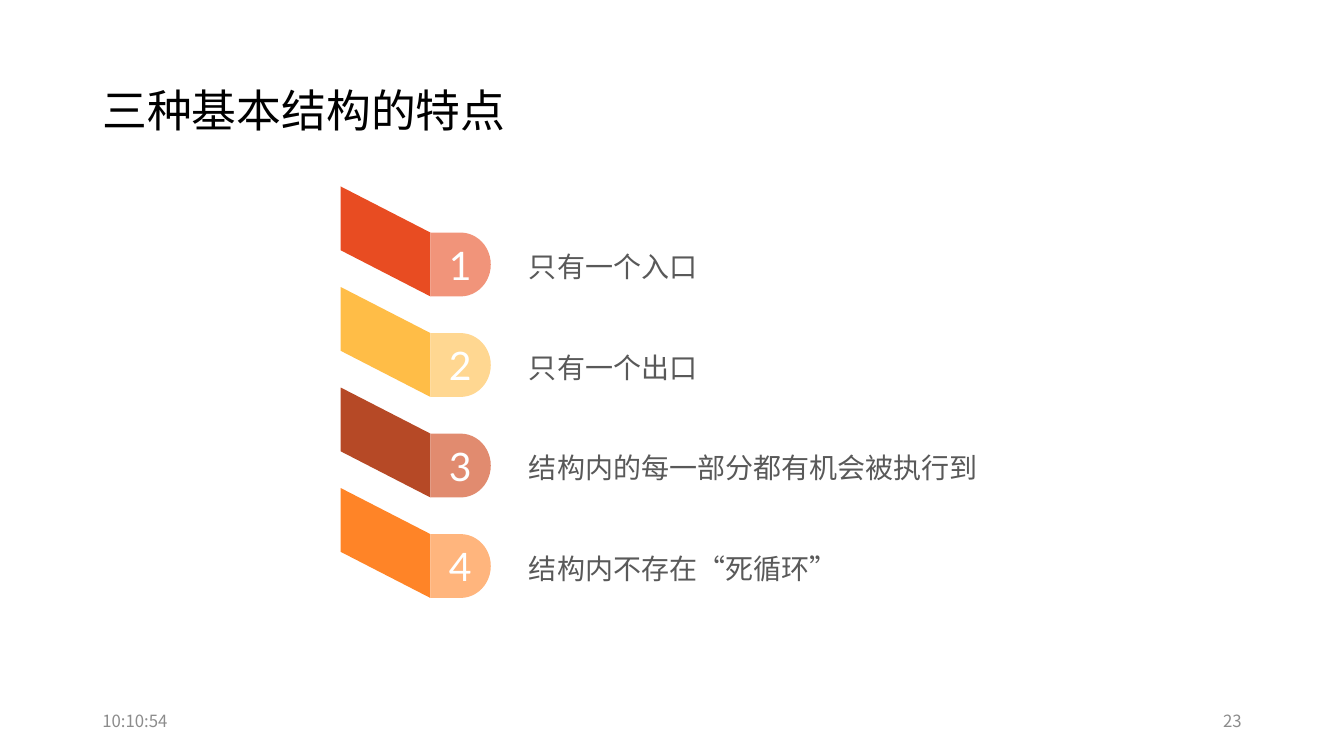
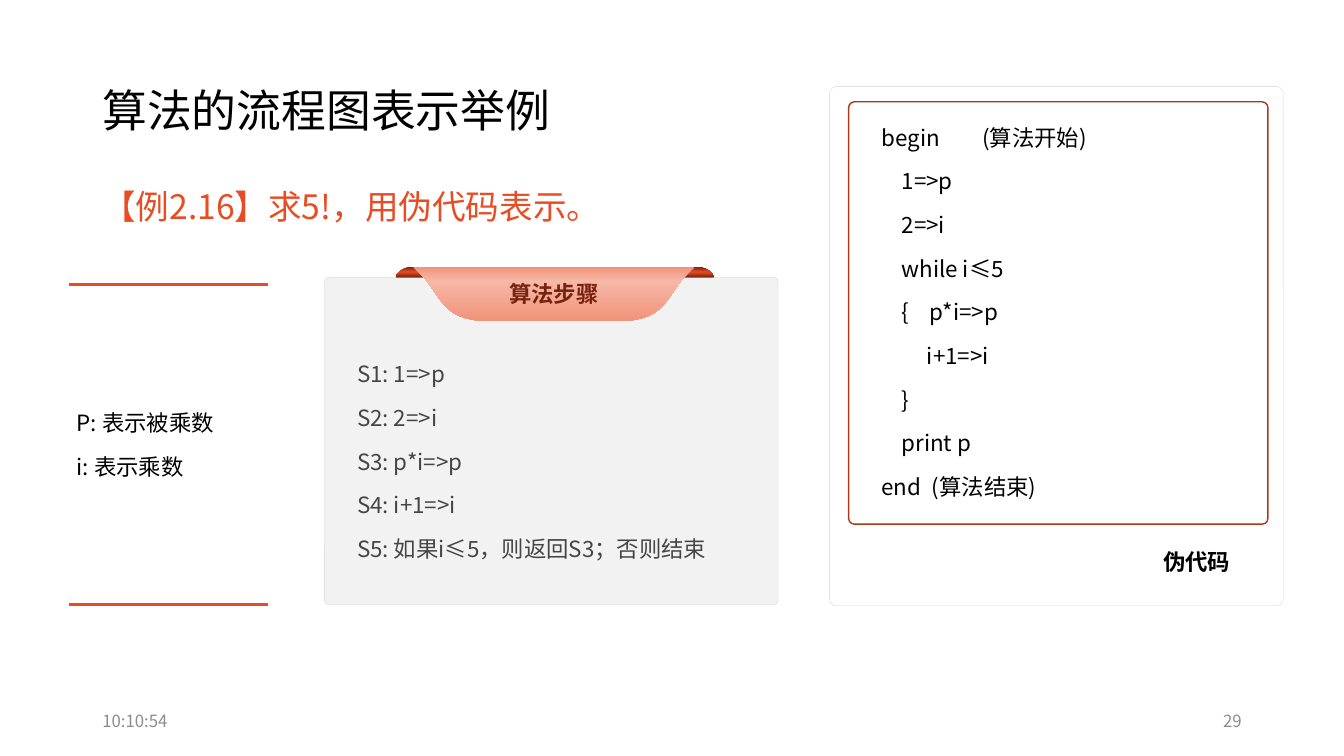
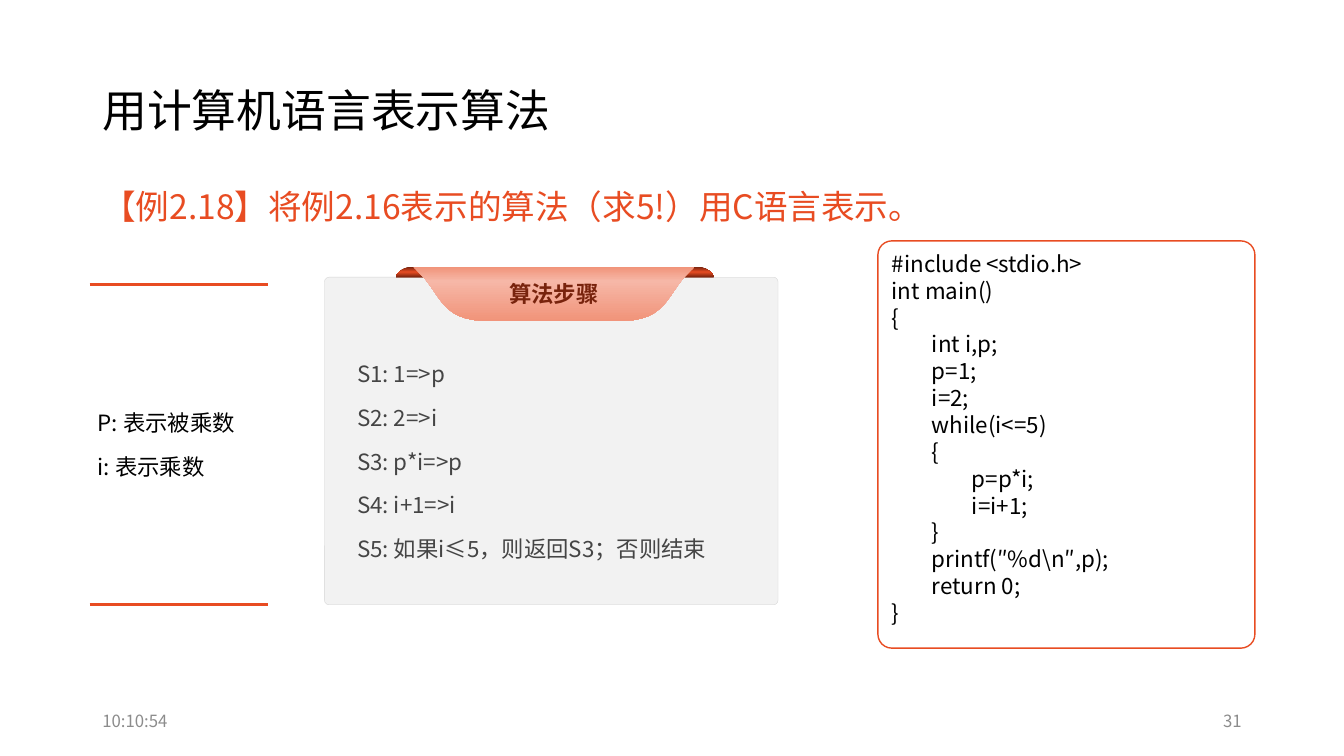
"""Build three slides on basic structures, pseudocode and C code for an algorithm."""
import copy
from dataclasses import dataclass

from lxml import etree
from pptx import Presentation
from pptx import util as u
from pptx.dml.color import RGBColor
from pptx.enum import shapes, text
from pptx.oxml.ns import qn

Pt = u.Pt
AL = text.PP_ALIGN
MID = text.MSO_ANCHOR.MIDDLE
TOP = text.MSO_ANCHOR.TOP
ROUND = shapes.MSO_SHAPE.ROUNDED_RECTANGLE


@dataclass(frozen=True)
class Theme:
    font: str = "Noto Sans CJK SC"
    number_font: str = "Lato"
    black: str = "000000"
    white: str = "FEFFFF"
    paper: str = "FFFFFF"
    red: str = "E84C22"
    rust: str = "AC3819"
    maroon: str = "78230D"
    salmon: str = "F1947A"
    blush: str = "F6B7A7"
    item: str = "595959"
    step: str = "454545"
    muted: str = "8C8C8C"
    panel: str = "F2F2F2"
    edge: str = "D5D5D5"
    title: int = 32
    number: int = 28
    subtitle: int = 24
    item_size: int = 20
    body: int = 16
    footer: int = 12


T = Theme()


def write(sp, lines, size, color, align=AL.LEFT, anchor=MID, inset=(7.2, 3.6, 7.2, 3.6),
          spacing=None, gap=0, bold=False, font=T.font):
    """Fill a shape with lines, each a string or (string, left margin, first-line indent)."""
    tf = sp.text_frame
    tf.word_wrap = True
    tf.vertical_anchor = anchor
    tf.margin_left, tf.margin_top, tf.margin_right, tf.margin_bottom = map(Pt, inset)
    for i, line in enumerate(lines):
        words, margin, indent = (line, 0, 0) if isinstance(line, str) else line
        p = tf.add_paragraph() if i else tf.paragraphs[0]
        p.text = words
        p.alignment = align
        p.line_spacing = spacing
        p.space_before = p.space_after = Pt(gap)
        if margin:
            pPr = p._p.get_or_add_pPr()
            pPr.set("marL", str(Pt(margin)))
            pPr.set("indent", str(Pt(indent)))
        for r in p.runs:
            r.font.size = Pt(size)
            r.font.bold = bold
            r.font.name = font
            r.font.color.rgb = RGBColor.from_string(color)
            etree.SubElement(r._r.get_or_add_rPr(), qn("a:ea")).set("typeface", font)


def outline(s, start, steps, stops):
    """Draw a closed outline of lines (x, y) and cubic curves, filled with one or three colours."""
    points, here = [], start
    for step in steps:
        if len(step) == 2:
            points.append(step)
        else:
            x1, y1, x2, y2, x3, y3 = step
            for k in range(1, 13):
                t = k / 12
                a, b, c, d = (1 - t) ** 3, 3 * t * (1 - t) ** 2, 3 * t * t * (1 - t), t ** 3
                points.append((a * here[0] + b * x1 + c * x2 + d * x3,
                               a * here[1] + b * y1 + c * y2 + d * y3))
        here = points[-1]
    fb = s.shapes.build_freeform(Pt(start[0]), Pt(start[1]), scale=1.0)
    fb.add_line_segments([(Pt(x), Pt(y)) for x, y in points], close=True)
    sp = fb.convert_to_shape()
    sp.shadow.inherit = False
    sp.line.fill.background()
    if len(stops) == 1:
        sp.fill.solid()
        sp.fill.fore_color.rgb = RGBColor.from_string(stops[0][1])
    else:
        sp.fill.gradient()
        sp.fill.gradient_angle = 270
        first = sp._element.spPr.find(".//" + qn("a:gs"))
        first.addnext(copy.deepcopy(first))
        for stop, (position, color) in zip(sp.fill.gradient_stops, stops):
            stop.position = position
            stop.color.rgb = RGBColor.from_string(color)
    return sp


prs = Presentation()
prs.slide_width, prs.slide_height = Pt(960), Pt(540)

slides = []
for title, page in [("三种基本结构的特点", "23"), ("算法的流程图表示举例", "29"), ("用计算机语言表示算法", "31")]:
    s = prs.slides.add_slide(prs.slide_layouts[6])
    slides.append(s)
    tb = s.shapes.add_textbox(Pt(66), Pt(28.8), Pt(828), Pt(104.4))
    write(tb, [title], T.title, T.black, spacing=0.9)
    for x, words, align in [(66, "10:10:54", AL.LEFT), (678, page, AL.RIGHT)]:
        tb = s.shapes.add_textbox(Pt(x), Pt(500.4), Pt(216), Pt(28.8))
        write(tb, [words], T.footer, T.muted, align)

features, pseudocode, program = slides

items = [
    ("只有一个入口", "E84C22", "F1947A"),
    ("只有一个出口", "FFBD47", "FFD791"),
    ("结构内的每一部分都有机会被执行到", "B64926", "E18B6F"),
    ("结构内不存在“死循环”", "FF8427", "FFB57D"),
]
left, fold = 243.4, 307.4
for i, (words, dark, light) in enumerate(items):
    y = 133.2 + 71.8 * i
    outline(features, (left, y), [(fold, y + 32.9), (fold, y + 78.5), (left, y + 45.6)], [(0, dark)])
    sp = features.shapes.add_shape(shapes.MSO_SHAPE.FLOWCHART_DELAY,
                                   Pt(fold), Pt(y + 32.9), Pt(43.2), Pt(45.6))
    sp.shadow.inherit = False
    sp.fill.solid()
    sp.fill.fore_color.rgb = RGBColor.from_string(light)
    sp.line.fill.background()
    write(sp, [str(i + 1)], T.number, T.white, AL.CENTER, inset=(6, 0, 0, 0), font=T.number_font)
    tb = features.shapes.add_textbox(Pt(370.8), Pt(y + 29.5), Pt(343.4), Pt(39.6))
    write(tb, [words], T.item_size, T.item, spacing=Pt(40), inset=(7.2, 0, 7.2, 0))

steps = ["S1: 1=>p", "S2: 2=>i", "S3: p*i=>p", "S4: i+1=>i", "S5: 如果i≤5，则返回S3；否则结束"]
curl_stops = [(0, T.maroon), (0.49, T.red), (1, T.maroon)]
ribbon_stops = [(0, T.salmon), (0.26, T.blush), (1, T.salmon)]
listing = dict(size=T.body, spacing=Pt(19.2))

for s, subtitle, left in [(pseudocode, "【例2.16】求5!，用伪代码表示。", 49),
                          (program, "【例2.18】将例2.16表示的算法（求5!）用C语言表示。", 64.1)]:
    tb = s.shapes.add_textbox(Pt(66), Pt(123.1), Pt(654.5), Pt(46))
    write(tb, [subtitle], T.subtitle, T.red, anchor=TOP, spacing=Pt(34.6))

    sp = s.shapes.add_shape(ROUND, Pt(231.8), Pt(198), Pt(324), Pt(234))
    sp.adjustments[0] = 0.014
    sp.shadow.inherit = False
    sp.fill.solid()
    sp.fill.fore_color.rgb = RGBColor.from_string(T.panel)
    sp.line.color.rgb = RGBColor.from_string(T.edge)
    sp.line.width = Pt(0.25)
    write(sp, steps, color=T.step, align=AL.JUSTIFY, inset=(22.3, 56.9, 22.3, 28.1), gap=6, **listing)

    for x in (283, 486):
        outline(s, (x + 10, 190.8),
                [(x + 13.7, 190.8), (x + 15.8, 191.2),
                 (x + 19.4, 192.2, x + 22.3, 194.4, x + 23.7, 197.3),
                 (x + 23.7, 198), (x, 198), (x, 197.3),
                 (x + 1.4, 194.4, x + 4.3, 192.2, x + 7.9, 191.2)], curl_stops)
    sp = outline(s, (295.2, 190.8),
                 [(496.1, 190.8), (490.3, 196.4), (477.4, 209.5, 475.2, 229, 445.7, 229),
                  (345.6, 229), (316.1, 229, 313.9, 209.5, 301, 196.4)], ribbon_stops)
    write(sp, ["算法步骤"], color=T.maroon, align=AL.CENTER, bold=True, **listing)

    for y in (203, 432):
        cn = s.shapes.add_connector(shapes.MSO_CONNECTOR.STRAIGHT, Pt(left), Pt(y), Pt(191.5), Pt(y))
        cn.line.color.rgb = RGBColor.from_string(T.red)
        cn.line.width = Pt(2)
        etree.SubElement(cn._element.spPr, qn("a:effectLst"))
    tb = s.shapes.add_textbox(Pt(left), Pt(203), Pt(191.5 - left), Pt(229))
    write(tb, ["P: 表示被乘数", "i: 表示乘数"], color=T.black, align=AL.JUSTIFY,
          inset=(5.8, 5.8, 5.8, 5.8), gap=6, **listing)

pseudo_lines = ["begin\t(算法开始)", ("1=>p", 14.4, 0), ("2=>i", 14.4, 0), ("while i≤5", 14.4, 0),
                ("{\tp*i=>p", 34.4, -20), ("i+1=>i", 32.4, 0), ("}", 14.4, 0),
                ("print p", 14.4, 0), "end\t(算法结束)"]
c_source = [(0, "#include <stdio.h>"), (0, "int main()"), (0, "{"), (1, "int i,p;"), (1, "p=1;"),
            (1, "i=2;"), (1, "while(i<=5)"), (1, "{"), (2, "p=p*i;"), (2, "i=i+1;"), (1, "}"),
            (1, "printf(″%d\\n″,p);"), (1, "return 0;"), (0, "}")]
c_lines = [(words, 28.6 * level, 0) for level, words in c_source]

frames = [
    (pseudocode, (592.6, 61.9, 324, 370.8), 0.014, T.edge, 0.25, [], {}),
    (pseudocode, (606.2, 72.7, 299.5, 301.7), 0.014, T.rust, 1, pseudo_lines,
     dict(align=AL.JUSTIFY, inset=(22.3, 14.4, 22.3, 14.4), gap=6)),
    (program, (627.1, 172.1, 269.3, 290.9), 0.037, T.red, 1, c_lines, {}),
]
for s, box, corner, color, width, lines, style in frames:
    sp = s.shapes.add_shape(ROUND, *map(Pt, box))
    sp.adjustments[0] = corner
    sp.shadow.inherit = False
    sp.fill.solid()
    sp.fill.fore_color.rgb = RGBColor.from_string(T.paper)
    sp.line.color.rgb = RGBColor.from_string(color)
    sp.line.width = Pt(width)
    write(sp, lines, color=T.black, anchor=TOP, **listing, **style)

tb = pseudocode.shapes.add_textbox(Pt(823.7), Pt(388.1), Pt(82.1), Pt(26.6))
write(tb, ["伪代码"], color=T.black, align=AL.JUSTIFY, bold=True, **listing)

prs.save("out.pptx")
